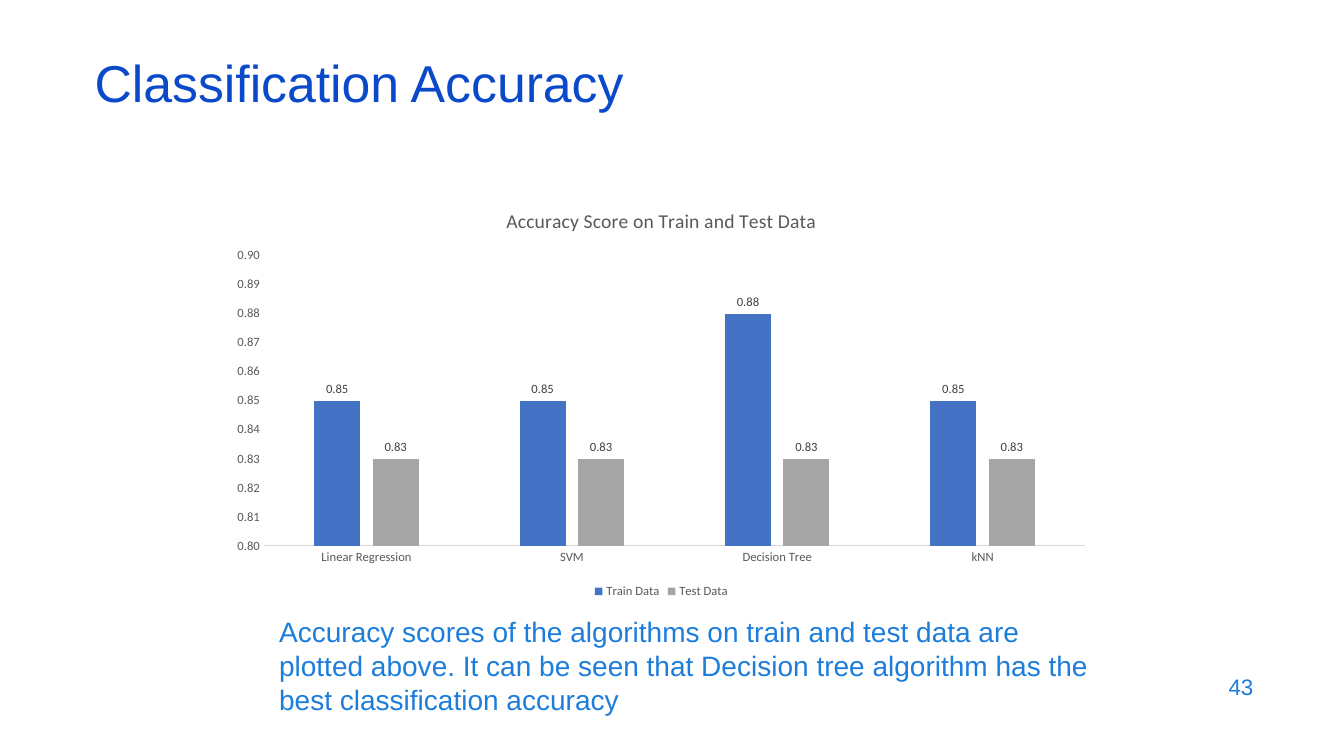
from pptx import Presentation
from pptx.chart.data import CategoryChartData
from pptx.dml.color import RGBColor
from pptx.enum.chart import XL_CHART_TYPE, XL_LABEL_POSITION, XL_LEGEND_POSITION, XL_TICK_MARK
from pptx.enum.text import MSO_ANCHOR, PP_ALIGN
from pptx.util import Inches, Pt

COLUMNS = XL_CHART_TYPE.COLUMN_CLUSTERED
OUTSIDE_END = XL_LABEL_POSITION.OUTSIDE_END
BOTTOM = XL_LEGEND_POSITION.BOTTOM
NO_TICKS = XL_TICK_MARK.NONE
TOP, MIDDLE = MSO_ANCHOR.TOP, MSO_ANCHOR.MIDDLE
LEFT, RIGHT = PP_ALIGN.LEFT, PP_ALIGN.RIGHT

TITLE_BLUE = RGBColor(0x0B, 0x49, 0xCB)
TEXT_BLUE = RGBColor(0x1C, 0x7D, 0xDB)
TRAIN_BLUE = RGBColor(0x44, 0x72, 0xC4)
TEST_GRAY = RGBColor(0xA5, 0xA5, 0xA5)
CHART_TEXT = RGBColor(0x59, 0x59, 0x59)
LABEL_TEXT = RGBColor(0x40, 0x40, 0x40)
AXIS_LINE = RGBColor(0xD9, 0xD9, 0xD9)
NUMBER_FORMAT = "0.00"


def set_font(font, name, size, color):
    font.name = name
    font.size = Pt(size)
    font.color.rgb = color
    font.bold = False


def add_text(slide, text, left, top, width, height, size, color, anchor=TOP, align=LEFT):
    box = slide.shapes.add_textbox(Inches(left), Inches(top), Inches(width), Inches(height))
    frame = box.text_frame
    frame.word_wrap = True
    frame.vertical_anchor = anchor
    frame.text = text
    para = frame.paragraphs[0]
    para.alignment = align
    set_font(para.runs[0].font, "Arial", size, color)
    return para


deck = Presentation()
deck.slide_width = Inches(13.33)
deck.slide_height = Inches(7.5)
slide = deck.slides.add_slide(deck.slide_layouts[6])

# Title and page number
title = add_text(slide, "Classification Accuracy", 0.84, 0.59, 11.5, 0.6, 37, TITLE_BLUE, MIDDLE)
title.line_spacing = 0.7
add_text(slide, "43", 9.53, 6.59, 3, 0.44, 16, TEXT_BLUE, MIDDLE, RIGHT)

# Accuracy chart
data = CategoryChartData(number_format=NUMBER_FORMAT)
data.categories = ["Linear Regression", "SVM", "Decision Tree", "kNN"]
data.add_series("Train Data", [0.85, 0.85, 0.88, 0.85])
data.add_series("Test Data", [0.83, 0.83, 0.83, 0.83])
chart = slide.shapes.add_chart(
    COLUMNS, Inches(2.18), Inches(1.89), Inches(8.76), Inches(4.09), data).chart
set_font(chart.font, "Calibri", 10, CHART_TEXT)

chart.has_title = True
chart.chart_title.include_in_layout = False
chart_heading = chart.chart_title.text_frame
chart_heading.text = "Accuracy Score on Train and Test Data"
set_font(chart_heading.paragraphs[0].runs[0].font, "Calibri", 14, CHART_TEXT)

chart.has_legend = True
chart.legend.position = BOTTOM
chart.legend.include_in_layout = False
set_font(chart.legend.font, "Calibri", 9, CHART_TEXT)

# Axes
for axis in (chart.category_axis, chart.value_axis):
    axis.major_tick_mark = NO_TICKS
    axis.minor_tick_mark = NO_TICKS
    axis.has_major_gridlines = False
    set_font(axis.tick_labels.font, "Calibri", 9, CHART_TEXT)
chart.category_axis.format.line.color.rgb = AXIS_LINE
chart.category_axis.format.line.width = Pt(0.75)
scores = chart.value_axis
scores.format.line.fill.background()
scores.minimum_scale = 0.8
scores.maximum_scale = 0.9
scores.major_unit = 0.01
scores.tick_labels.number_format = NUMBER_FORMAT
scores.tick_labels.number_format_is_linked = False

# Columns and their labels
plot = chart.plots[0]
plot.gap_width = 219
plot.overlap = -27
plot.vary_by_categories = False
for series, color in zip(plot.series, (TRAIN_BLUE, TEST_GRAY)):
    series.format.fill.solid()
    series.format.fill.fore_color.rgb = color
    labels = series.data_labels
    labels.show_value = True
    labels.position = OUTSIDE_END
    labels.number_format = NUMBER_FORMAT
    labels.number_format_is_linked = False
    set_font(labels.font, "Calibri", 9, LABEL_TEXT)

# Conclusion
add_text(slide, "Accuracy scores of the algorithms on train and test data are plotted above. "
         "It can be seen that Decision tree algorithm has the best classification accuracy",
         2.67, 6.05, 8.36, 1.11, 20, TEXT_BLUE)

deck.save("out.pptx")
